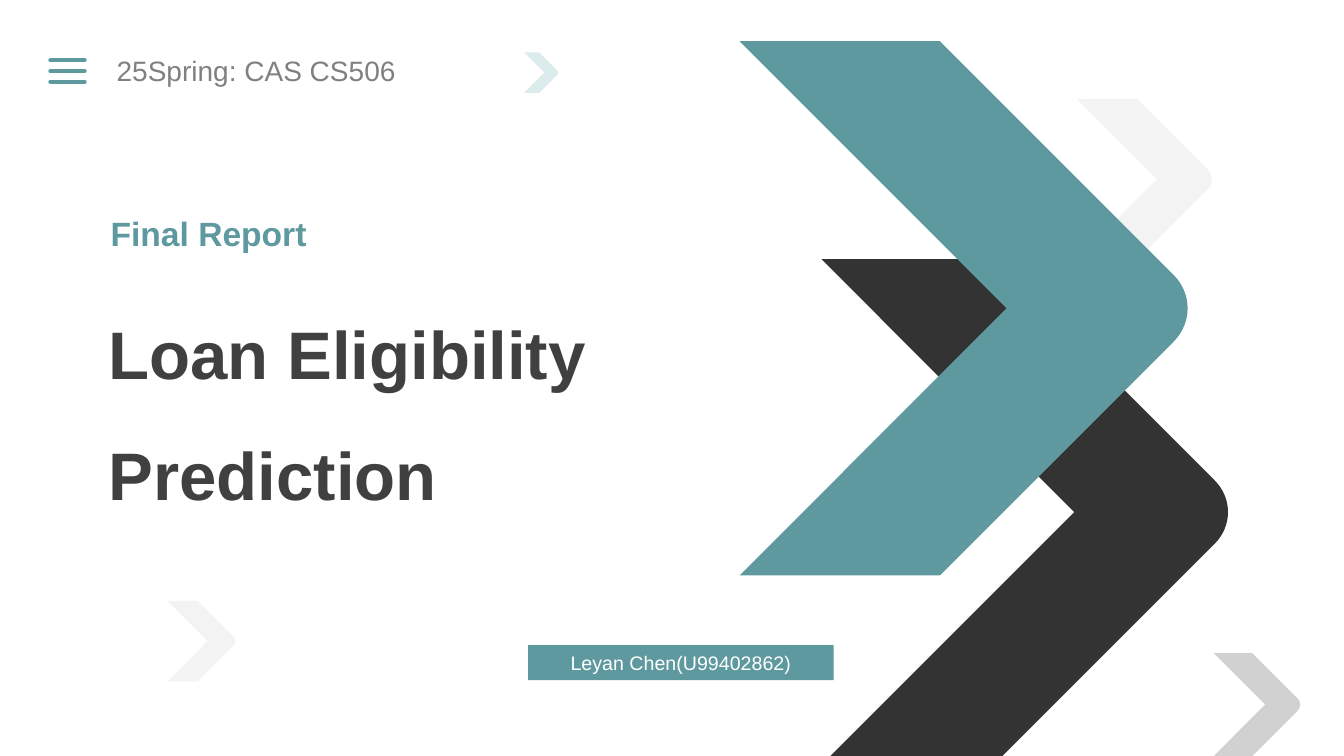
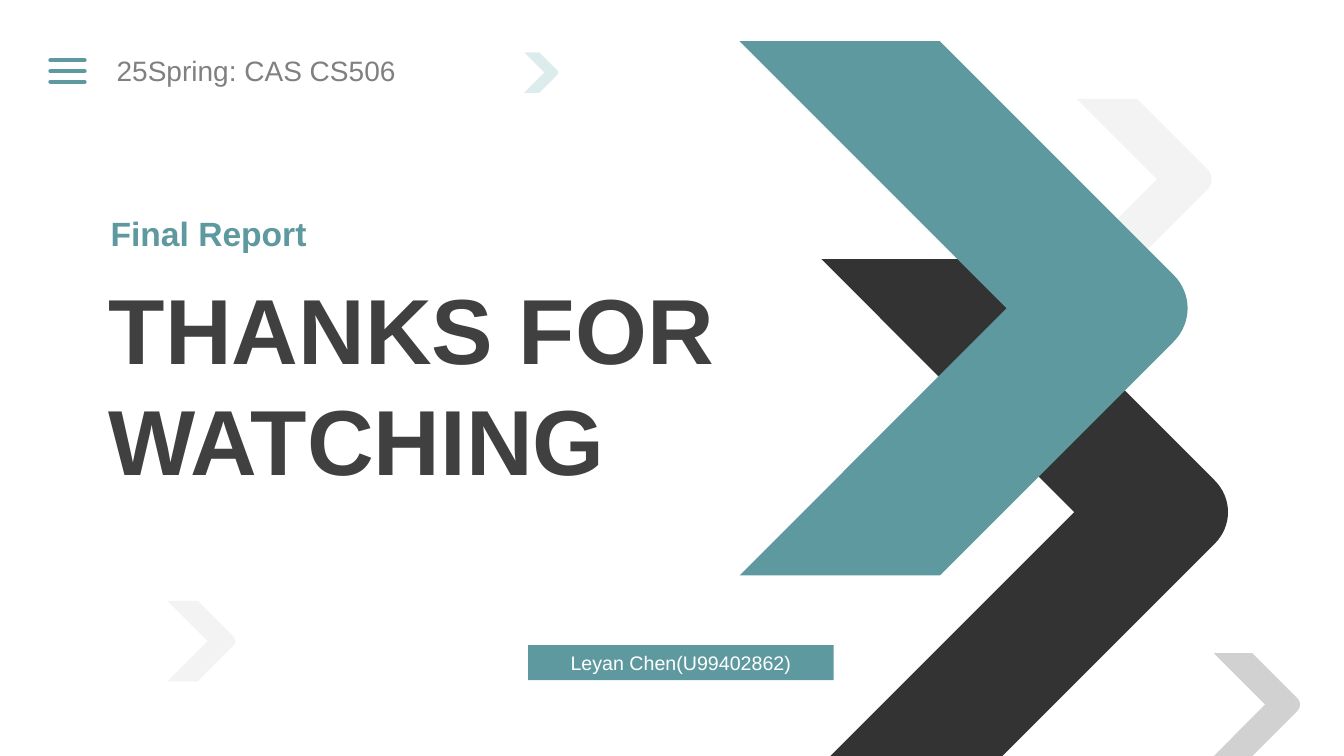
"""Build the opening and closing slides of a loan eligibility report."""
from lxml import etree
from pptx import Presentation
from pptx.dml.color import RGBColor
from pptx.enum.shapes import MSO_CONNECTOR, MSO_SHAPE
from pptx.enum.text import MSO_ANCHOR, PP_ALIGN
from pptx.oxml.ns import qn
from pptx.util import Cm, Pt

STRAIGHT = MSO_CONNECTOR.STRAIGHT
RECTANGLE = MSO_SHAPE.RECTANGLE
MIDDLE = MSO_ANCHOR.MIDDLE
TOP = MSO_ANCHOR.TOP
LEFT = PP_ALIGN.LEFT
CENTER = PP_ALIGN.CENTER

TEAL = RGBColor(0x5D, 0x99, 0x9F)
PALE_TEAL = RGBColor(0xD9, 0xEA, 0xEC)
BLACK = RGBColor(0x00, 0x00, 0x00)
CHARCOAL = RGBColor(0x40, 0x40, 0x40)
GRAY = RGBColor(0x80, 0x80, 0x80)
SILVER = RGBColor(0xCC, 0xCC, 0xCC)
PALE_GRAY = RGBColor(0xF2, 0xF2, 0xF2)
WHITE = RGBColor(0xFF, 0xFF, 0xFF)

FONT = "Arial"
COURSE_STYLE = {"size": Pt(20), "bold": False}
LABEL_STYLE = {"size": Pt(24), "bold": True}
AUTHOR_STYLE = {"size": Pt(14), "bold": False}

ARM = 0.375
CURVE_STEPS = 16

BACK_CHEVRONS = [
    {"left": 27.13, "top": 2.49, "height": 4.06, "color": PALE_GRAY, "opacity": 90},
    {"left": 20.7, "top": 6.53, "height": 12.75, "color": BLACK, "opacity": 80,
     "arm": 0.34, "cut": 0.23},
    {"left": 18.64, "top": 1.04, "height": 13.46, "color": TEAL},
]
FRONT_CHEVRONS = [
    {"left": 30.59, "top": 16.46, "height": 2.59, "color": SILVER, "opacity": 90},
    {"left": 4.22, "top": 15.14, "height": 2.03, "color": PALE_GRAY, "opacity": 90},
    {"left": 13.21, "top": 1.32, "height": 1.02, "color": PALE_TEAL, "opacity": 90},
]
TITLES = [
    ("Loan Eligibility Prediction", 13.1, 48, 1.5),
    ("THANKS FOR WATCHING", 19.2, 66, 1.0),
]


def rounded_tip(arm):
    """Return points of the curved tip of a chevron of height one."""
    run, bulge = 0.4375, 0.035
    start_x, control_x = arm + run, arm + run + bulge
    xs = (start_x, control_x, control_x, start_x)
    ys = (run, run + bulge, 1 - run - bulge, 1 - run)
    points = []
    for step in range(CURVE_STEPS + 1):
        t = step / CURVE_STEPS
        weights = ((1 - t) ** 3, 3 * t * (1 - t) ** 2, 3 * t * t * (1 - t), t ** 3)
        points.append(tuple(sum(w * v for w, v in zip(weights, axis)) for axis in (xs, ys)))
    return points


def add_chevron(slide, left, top, height, color, opacity=100, arm=ARM, cut=0):
    """Draw a 45 degree chevron, with its foot shortened by cut."""
    foot = cut / height
    outline = [(0, 0), (arm, 0), *rounded_tip(arm),
               (arm + foot, 1 - foot), (foot, 1 - foot), (0.5, 0.5)]
    points = [(Cm(left + x * height), Cm(top + y * height)) for x, y in outline]
    builder = slide.shapes.build_freeform(*points[0])
    builder.add_line_segments(points[1:], close=True)
    chevron = builder.convert_to_shape()
    chevron.shadow.inherit = False
    chevron.fill.solid()
    chevron.fill.fore_color.rgb = color
    chevron.line.fill.background()
    if opacity < 100:
        tint = chevron.element.spPr.find(qn("a:solidFill"))[0]
        etree.SubElement(tint, qn("a:alpha"), val=str(opacity * 1000))


def write_text(frame, text, color, style, align=LEFT, anchor=TOP, spacing=1.0):
    """Fill a text frame with one formatted paragraph."""
    frame.word_wrap = True
    frame.vertical_anchor = anchor
    paragraph = frame.paragraphs[0]
    paragraph.alignment = align
    paragraph.line_spacing = spacing
    run = paragraph.add_run()
    run.text = text
    for name, value in {"name": FONT, **style}.items():
        setattr(run.font, name, value)
    run.font.color.rgb = color


def add_text(slide, box, text, color, style, spacing=1.0):
    """Add a text box at left, top, width and height in centimetres."""
    frame = slide.shapes.add_textbox(*map(Cm, box)).text_frame
    write_text(frame, text, color, style, spacing=spacing)


def add_author_band(slide, author):
    """Add the filled band that names the author."""
    band = slide.shapes.add_shape(RECTANGLE, Cm(13.31), Cm(16.26), Cm(7.7), Cm(0.88))
    band.shadow.inherit = False
    band.fill.solid()
    band.fill.fore_color.rgb = TEAL
    band.line.fill.background()
    write_text(band.text_frame, author, WHITE, AUTHOR_STYLE, CENTER, MIDDLE)


def add_menu_bars(slide):
    """Add three evenly spaced round-ended bars."""
    for row in range(3):
        y = Cm(1.52 + 0.27 * row)
        bar = slide.shapes.add_connector(STRAIGHT, Cm(1.27), y, Cm(2.13), y)
        bar.line.color.rgb = TEAL
        bar.line.width = Pt(3)
        properties = bar.element.spPr
        properties.find(qn("a:ln")).set("cap", "rnd")
        etree.SubElement(properties, qn("a:effectLst"))


def add_cover(deck, title, width, size, spacing):
    """Add one cover slide with the shared decoration and its own title."""
    slide = deck.slides.add_slide(deck.slide_layouts[6])
    for chevron in BACK_CHEVRONS:
        add_chevron(slide, **chevron)
    add_text(slide, (2.54, 5.23, 6, 1.27), "Final Report", TEAL, LABEL_STYLE)
    title_style = {"size": Pt(size), "bold": True}
    add_text(slide, (2.49, 6.73, width, 6), title, CHARCOAL, title_style, spacing)
    add_author_band(slide, "Leyan Chen(U99402862)")
    for chevron in FRONT_CHEVRONS:
        add_chevron(slide, **chevron)
    add_menu_bars(slide)
    add_text(slide, (2.69, 1.22, 9.8, 1.12), "25Spring: CAS CS506", GRAY, COURSE_STYLE)


def main():
    """Build and save the deck."""
    deck = Presentation()
    deck.slide_width, deck.slide_height = Cm(33.87), Cm(19.05)
    for title in TITLES:
        add_cover(deck, *title)
    deck.save("out.pptx")


if __name__ == "__main__":
    main()
